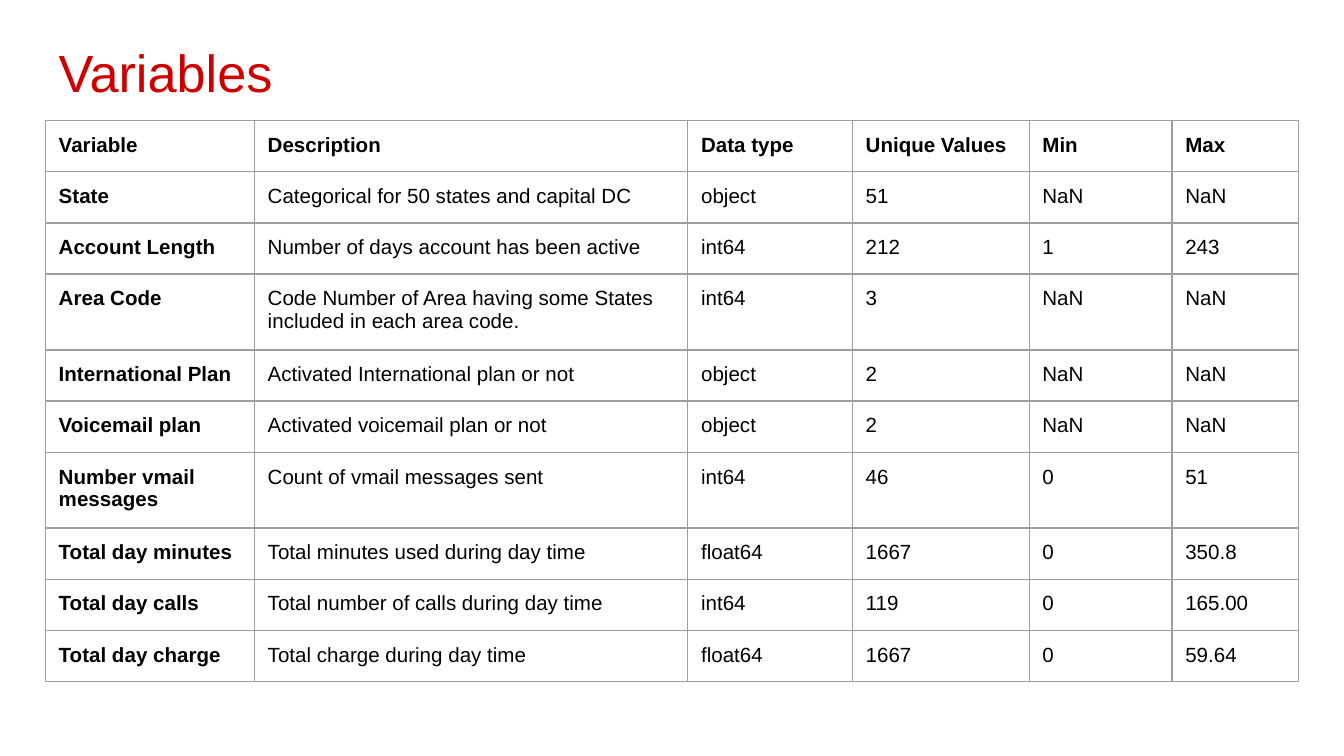
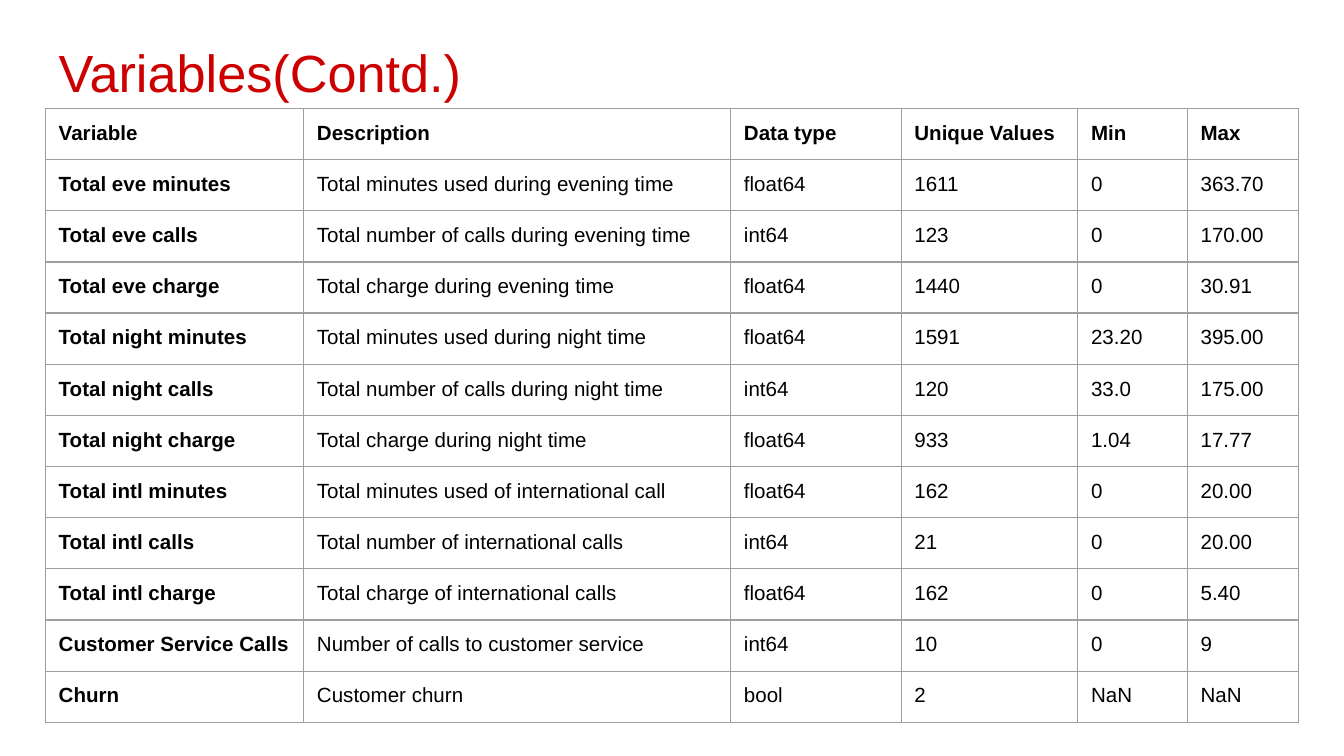
import dataclasses

import lxml.etree
import pptx
import pptx.dml.color
import pptx.enum.text
import pptx.oxml.ns
import pptx.util

Cm = pptx.util.Cm
Pt = pptx.util.Pt


@dataclasses.dataclass(frozen=True)
class Theme:
    font: str = "Arial"
    title_color: str = "CC0000"
    text_color: str = "000000"
    border_color: str = "9E9E9E"
    title_size: float = 28
    cell_size: float = 11
    border_width: float = 0.75


THEME = Theme()
LEFT, WIDTH, INSET = 0.86, 23.68, 0.25
ROW_HEIGHT, TALL_ROW_HEIGHT = 0.94, 1.37

HEADER = ("Variable", "Description", "Data type", "Unique Values", "Min", "Max")

SLIDES = [
    {
        "title": "Variables",
        "top": 2.28,
        "widths": (3.95, 8.19, 3.11, 3.34, 2.7, 2.39),
        "two_line_rows": (3, 6),
        "rows": [
            ("State", "Categorical for 50 states and capital DC", "object", "51", "NaN", "NaN"),
            ("Account Length", "Number of days account has been active", "int64", "212", "1", "243"),
            ("Area Code", "Code Number of Area having some States included in each area code.",
             "int64", "3", "NaN", "NaN"),
            ("International Plan", "Activated International plan or not", "object", "2", "NaN", "NaN"),
            ("Voicemail plan", "Activated voicemail plan or not", "object", "2", "NaN", "NaN"),
            ("Number vmail messages", "Count of vmail messages sent", "int64", "46", "0", "51"),
            ("Total day minutes", "Total minutes used during day time", "float64", "1667", "0", "350.8"),
            ("Total day calls", "Total number of calls during day time", "int64", "119", "0", "165.00"),
            ("Total day charge", "Total charge during day time", "float64", "1667", "0", "59.64"),
        ],
    },
    {
        "title": "Variables(Contd.)",
        "top": 2.05,
        "widths": (4.88, 8.07, 3.22, 3.34, 2.07, 2.1),
        "two_line_rows": (),
        "rows": [
            ("Total eve minutes", "Total minutes used during evening time", "float64", "1611", "0", "363.70"),
            ("Total eve calls", "Total number of calls during evening time", "int64", "123", "0", "170.00"),
            ("Total eve charge", "Total charge during evening time", "float64", "1440", "0", "30.91"),
            ("Total night minutes", "Total minutes used during night time", "float64", "1591", "23.20", "395.00"),
            ("Total night calls", "Total number of calls during night time", "int64", "120", "33.0", "175.00"),
            ("Total night charge", "Total charge during night time", "float64", "933", "1.04", "17.77"),
            ("Total intl minutes", "Total minutes used of international call", "float64", "162", "0", "20.00"),
            ("Total intl calls", "Total number of international calls", "int64", "21", "0", "20.00"),
            ("Total intl charge", "Total charge of international calls", "float64", "162", "0", "5.40"),
            ("Customer Service Calls", "Number of calls to customer service", "int64", "10", "0", "9"),
            ("Churn", "Customer churn", "bool", "2", "NaN", "NaN"),
        ],
    },
]


def set_text(tf, text, size, color, bold=False):
    tf.text = text
    font = tf.paragraphs[0].runs[0].font
    font.name = THEME.font
    font.size = Pt(size)
    font.bold = bold
    font.color.rgb = pptx.dml.color.RGBColor.from_string(color)


def add_borders(cell):
    """Draw all four sides; call before setting the fill, which must follow them."""
    qn = pptx.oxml.ns.qn
    tcPr = cell._tc.get_or_add_tcPr()
    for side in ("a:lnL", "a:lnR", "a:lnT", "a:lnB"):
        ln = lxml.etree.SubElement(tcPr, qn(side), w=str(Pt(THEME.border_width)))
        fill = lxml.etree.SubElement(ln, qn("a:solidFill"))
        lxml.etree.SubElement(fill, qn("a:srgbClr"), val=THEME.border_color)


prs = pptx.Presentation()
prs.slide_width, prs.slide_height = Cm(25.4), Cm(14.29)

for content in SLIDES:
    s = prs.slides.add_slide(prs.slide_layouts[6])

    title = s.shapes.add_textbox(Cm(LEFT), Cm(0.38), Cm(WIDTH), Cm(1.6))
    tf = title.text_frame
    tf.word_wrap = True
    tf.vertical_anchor = pptx.enum.text.MSO_ANCHOR.TOP
    tf.margin_left = tf.margin_right = Cm(INSET)
    tf.margin_top, tf.margin_bottom = Cm(0.38), Cm(0)
    set_text(tf, content["title"], THEME.title_size, THEME.title_color)

    rows = [HEADER] + content["rows"]
    heights = [TALL_ROW_HEIGHT if i in content["two_line_rows"] else ROW_HEIGHT
               for i in range(len(rows))]
    table = s.shapes.add_table(len(rows), len(HEADER), Cm(LEFT), Cm(content["top"]),
                               Cm(WIDTH), Cm(sum(heights))).table
    table.horz_banding = False
    for column, width in zip(table.columns, content["widths"]):
        column.width = Cm(width)
    for i, (values, height) in enumerate(zip(rows, heights)):
        table.rows[i].height = Cm(height)
        for j, value in enumerate(values):
            cell = table.cell(i, j)
            cell.margin_left = cell.margin_right = Cm(INSET)
            cell.margin_top = cell.margin_bottom = Cm(INSET)
            add_borders(cell)
            cell.fill.background()
            set_text(cell.text_frame, value, THEME.cell_size, THEME.text_color,
                     bold=i == 0 or j == 0)

prs.save("out.pptx")
